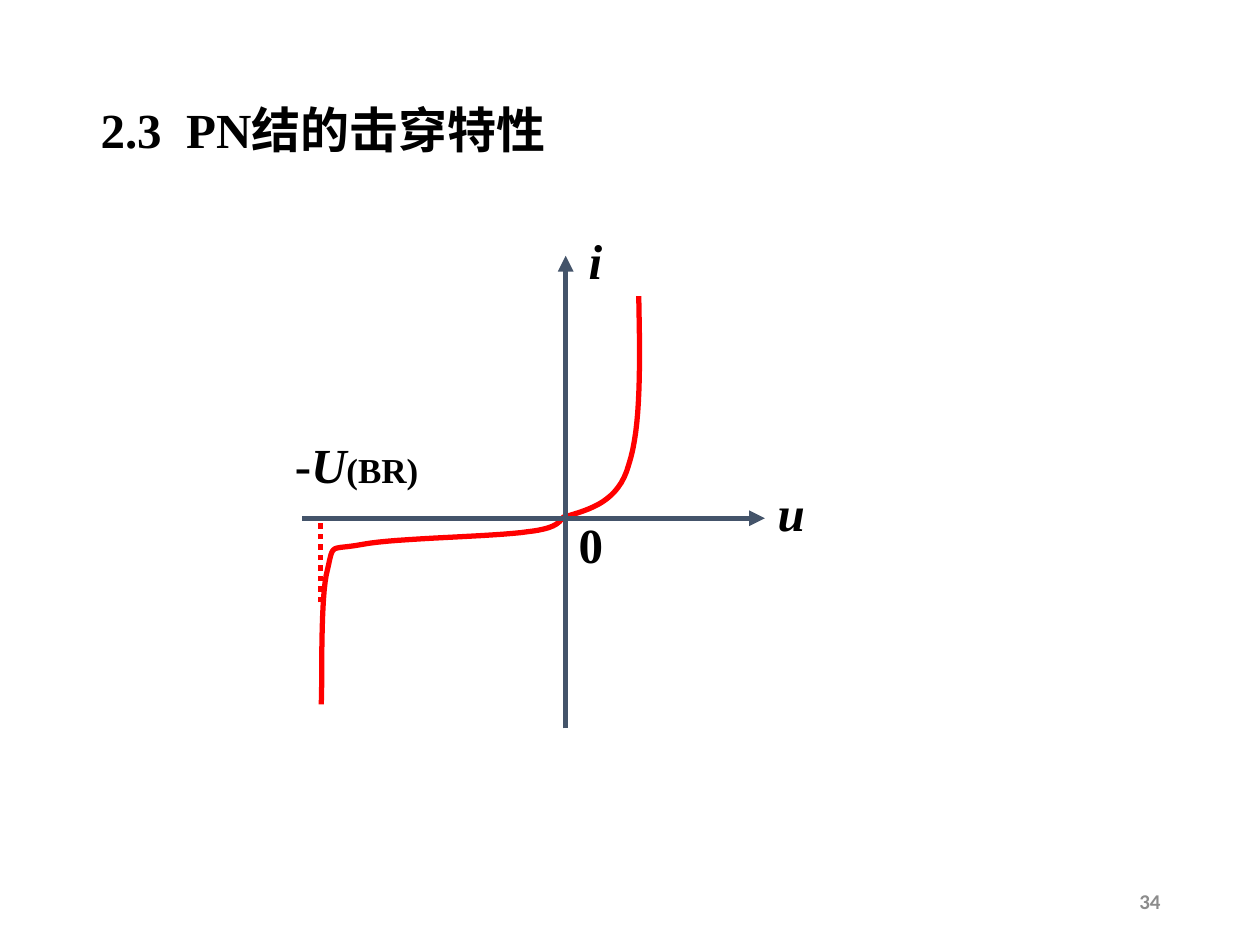
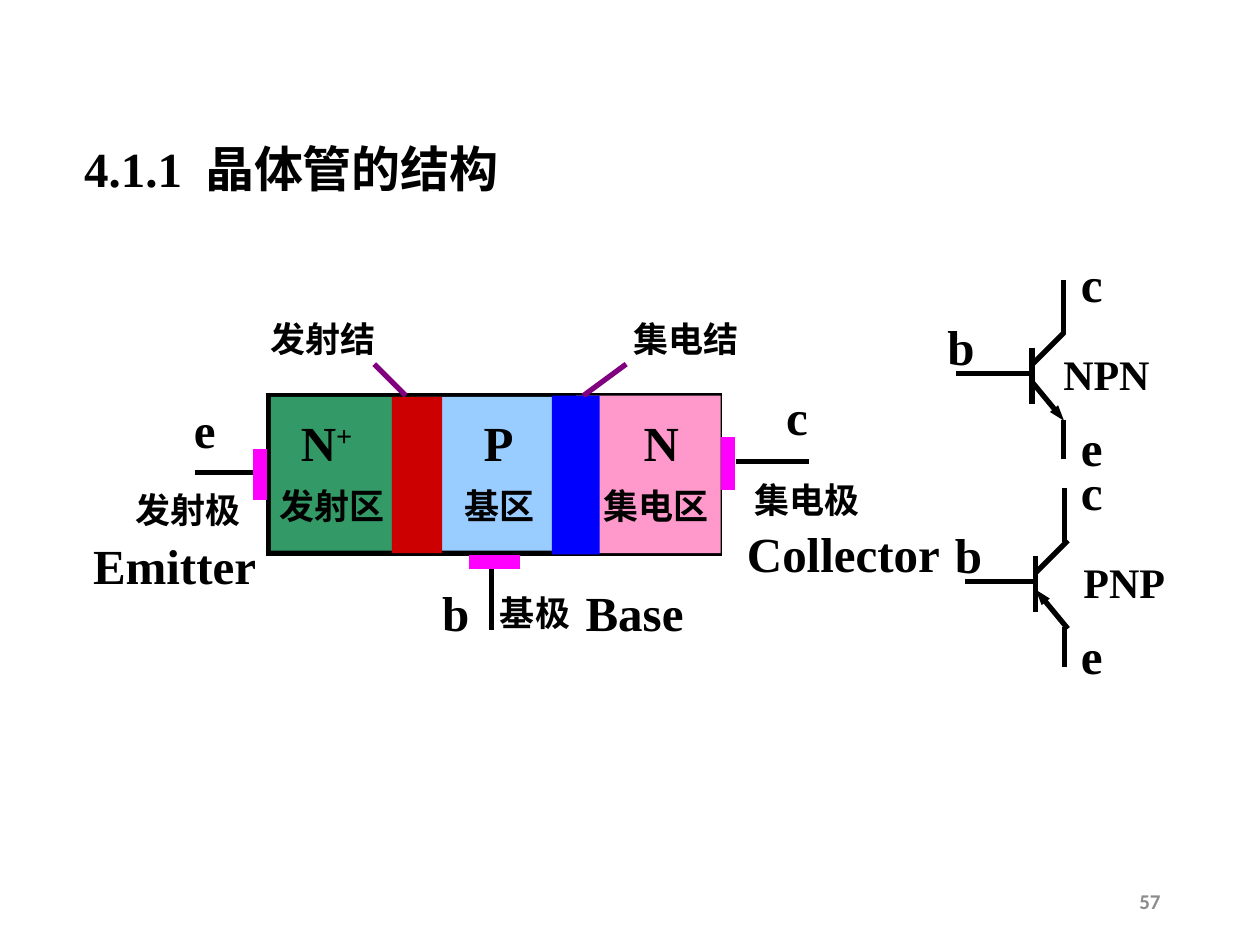
from dataclasses import dataclass
from typing import NamedTuple

from lxml.etree import SubElement
from pptx import Presentation
from pptx.dml.color import RGBColor as Rgb
from pptx.enum.dml import MSO_LINE as Dash
from pptx.enum.shapes import MSO_CONNECTOR as Link, MSO_SHAPE as Form
from pptx.enum.text import MSO_ANCHOR as Anchor, MSO_AUTO_SIZE as Fit, PP_ALIGN as Align
from pptx.oxml.ns import qn
from pptx.util import Emu, Inches, Pt

WIDE, HIGH = Inches(10), Inches(7.5)
COLS, ROWS = 100, 75
FACE = "Times New Roman"
BIG, MID, SMALL = 28, 24, 20
TALL = {BIG: 5.7, MID: 5, SMALL: 4.3}
INK = {
    "black": "000000", "grey": "8C8C8C", "slate": "44546A", "curve": "FF0000",
    "pink": "FF99CC", "sky": "99CCFF", "green": "339966", "blue": "0000FF",
    "red": "CC0000", "lead": "FF00FF", "purple": "800080",
}


class Run(NamedTuple):
    text: str
    size: int = BIG
    slant: bool = False
    raised: bool = False
    face: str = FACE
    ink: str = "black"


@dataclass(frozen=True)
class Label:
    x: float
    y: float
    w: float
    runs: tuple[Run, ...]
    align: Align = Align.LEFT
    wrap: bool = False
    tab: float = 0


class Line(NamedTuple):
    start: tuple[float, float]
    end: tuple[float, float]
    ink: str = "black"
    width: float = 3
    arrow: str = ""
    dotted: bool = False
    barb: str = "med"


class Block(NamedTuple):
    x: float
    y: float
    w: float
    h: float
    fill: str = ""


class Device(NamedTuple):
    name: str
    x: float
    y: float
    name_x: float
    base: float
    base_x: float
    lead: float
    arrow: str


def col(n: float) -> Emu:
    return Emu(round(WIDE * n / COLS))


def row(n: float) -> Emu:
    return Emu(round(HIGH * n / ROWS))


def tint(name: str) -> Rgb:
    return Rgb.from_string(INK[name])


def put_label(slide, label: Label) -> None:
    height = TALL.get(label.runs[0].size, 4)
    box = slide.shapes.add_textbox(col(label.x), row(label.y), col(label.w), row(height))
    frame = box.text_frame
    frame.word_wrap = label.wrap
    frame.vertical_anchor = Anchor.MIDDLE
    frame.auto_size = Fit.NONE if label.wrap else Fit.SHAPE_TO_FIT_TEXT
    para = frame.paragraphs[0]
    para.alignment = label.align
    if label.tab:
        stops = SubElement(para._p.get_or_add_pPr(), qn("a:tabLst"))
        SubElement(stops, qn("a:tab"), pos=str(col(label.tab)), algn="l")
    for part in label.runs:
        run = para.add_run()
        run.text = part.text
        font = run.font
        font.name, font.size = part.face, Pt(part.size)
        font.bold, font.italic = True, part.slant
        font.color.rgb = tint(part.ink)
        if part.raised:
            run._r.get_or_add_rPr().set("baseline", "30000")


def put_line(slide, line: Line) -> None:
    (x1, y1), (x2, y2) = line.start, line.end
    link = slide.shapes.add_connector(Link.STRAIGHT, col(x1), row(y1), col(x2), row(y2))
    link.line.color.rgb = tint(line.ink)
    link.line.width = Pt(line.width)
    if line.dotted:
        link.line.dash_style = Dash.ROUND_DOT
    props = link._element.spPr
    if line.arrow:
        SubElement(props.find(qn("a:ln")), qn(f"a:{line.arrow}"), type="triangle", w=line.barb)
    SubElement(props, qn("a:effectLst"))


def put_block(slide, block: Block) -> None:
    shape = slide.shapes.add_shape(
        Form.RECTANGLE, col(block.x), row(block.y), col(block.w), row(block.h))
    shape.shadow.inherit = False
    if block.fill:
        shape.fill.solid()
        shape.fill.fore_color.rgb = tint(block.fill)
        shape.line.fill.background()
    else:
        shape.fill.background()
        shape.line.color.rgb = tint("black")
        shape.line.width = Pt(3)
        SubElement(shape._element.spPr.find(qn("a:ln")), qn("a:miter"), lim="800000")


def bend(knots: list[tuple[float, float]], steps: int = 16) -> list[tuple[int, int]]:
    dots = [knots[0]]
    for i in range(0, len(knots) - 1, 3):
        quad = knots[i:i + 4]
        for k in range(1, steps + 1):
            t = k / steps
            u = 1 - t
            mix = (u ** 3, 3 * u * u * t, 3 * u * t * t, t ** 3)
            dots.append(tuple(sum(m * p[a] for m, p in zip(mix, quad)) for a in (0, 1)))
    return [(col(x), row(y)) for x, y in dots]


def put_curve(slide, knots: list[tuple[float, float]]) -> None:
    dots = bend(knots)
    pen = slide.shapes.build_freeform(*dots[0])
    pen.add_line_segments(dots[1:], close=False)
    shape = pen.convert_to_shape()
    shape.shadow.inherit = False
    shape.fill.background()
    shape.line.color.rgb = tint("curve")
    shape.line.width = Pt(3)


def put_device(slide, dev: Device) -> None:
    def leg(x1: float, y1: float, x2: float, y2: float, arrow: str = "") -> None:
        ends = (dev.x + x1, dev.y + y1), (dev.x + x2, dev.y + y2)
        put_line(slide, Line(*ends, arrow=arrow, barb="sm"))

    leg(0, 0, 0, 4.5)
    leg(0, 1.35, 2.55, -1.2)
    leg(0, 2.7, 2.55, 5.8, dev.arrow)
    leg(0, 2.05, -dev.base, 2.05)
    leg(dev.lead, -1.1, dev.lead, -5.4)
    leg(dev.lead, 5.7, dev.lead, 8.8)
    for text, x, y, w in (("c", 84.8, -8, 3.7), ("b", dev.base_x, -3, 4.2), ("e", 84.8, 5, 3.7)):
        put_label(slide, Label(x, dev.y + y, w, (Run(text),)))
    put_label(slide, Label(dev.name_x, dev.y - 0.4, 8.9, (Run(dev.name, MID),)))


def add_page(deck, title: Label, number: str):
    slide = deck.slides.add_slide(deck.slide_layouts[6])
    put_label(slide, title)
    page = Run(number, 12, face="Calibri", ink="grey")
    put_label(slide, Label(70.6, 69.5, 22.5, (page,), Align.RIGHT, True))
    return slide


def draw_curve(deck) -> None:
    title = Label(7, 7.4, 76.7, (Run("2.3\tPN结的击穿特性"),), wrap=True, tab=6.8)
    slide = add_page(deck, title, "34")
    put_line(slide, Line((25.45, 47.8), (25.45, 41.1), "curve", dotted=True))
    put_curve(slide, [(50.7, 23.5), (50.8, 28.7), (50.9, 33.9), (49.9, 36.9),
                      (49.1, 39.8), (46.9, 40.4), (44.9, 41)])
    put_curve(slide, [(44.8, 41), (44.4, 41.2), (44.6, 41.9), (41.9, 42.2),
                      (39.2, 42.6), (31.4, 42.7), (28.8, 43.2),
                      (26.1, 43.7), (26.5, 43), (26, 45.2),
                      (25.4, 47.3), (25.6, 54.1), (25.5, 55.9)])
    put_line(slide, Line((24, 41.13), (60.7, 41.13), "slate", arrow="tailEnd"))
    put_line(slide, Line((44.9, 57.8), (44.9, 20.3), "slate", arrow="tailEnd"))
    limit = (Run("-"), Run("U", slant=True), Run("(BR)", SMALL))
    for x, y, w, runs in (
        (45.7, 17.8, 3.1, (Run("i", slant=True),)),
        (60.7, 37.8, 4.2, (Run("u", slant=True),)),
        (44.9, 40.3, 4, (Run("0"),)),
        (22.4, 34, 11.8, limit),
    ):
        put_label(slide, Label(x, y, w, runs, Align.CENTER))


BLOCKS = (
    Block(21.3, 31.4, 35.8, 12.5),
    Block(45.7, 31.4, 11.5, 12.5, "pink"),
    Block(33, 31.5, 12.6, 12.2, "sky"),
    Block(21.5, 31.5, 11.5, 12.2, "green"),
    Block(43.8, 31.4, 3.8, 12.6, "blue"),
    Block(31.1, 31.5, 4, 12.4, "red"),
)
LEADS = (
    Line((20.5, 37.5), (15.5, 37.5)),
    Line((20.6, 35.6), (20.6, 39.7), "lead", 8),
    Line((58.4, 36.6), (64.2, 36.6)),
    Line((57.8, 34.7), (57.8, 38.9), "lead", 8),
    Line((39, 45), (39, 50)),
    Line((41.3, 44.6), (37.2, 44.6), "lead", 8),
    Line((32.2, 31.4), (29.7, 28.9), "purple"),
    Line((46.3, 31.4), (49.7, 28.9), "purple"),
)
WORDS = (
    ("e", BIG, 14.4, 31.2, 3.7), ("c", BIG, 61.4, 30.2, 3.7), ("b", BIG, 34.1, 45.7, 4.2),
    ("P", BIG, 37.4, 32.2, 4.4), ("N", BIG, 50.1, 32.2, 4.8),
    ("发射极", SMALL, 9.8, 38.3, 10.4), ("基极", SMALL, 38.7, 46.5, 7.6),
    ("集电极", SMALL, 58.9, 37.5, 10.4), ("发射结", SMALL, 20.5, 24.7, 10.4),
    ("集电结", SMALL, 49.3, 24.7, 10.4), ("发射区", SMALL, 21.2, 38, 10.4),
    ("基区", SMALL, 35.9, 38, 7.6), ("集电区", SMALL, 46.9, 38, 10.4),
)
NAMES = (("Base", 45.5, 45.7, 11.4), ("Collector", 58.3, 41, 18), ("Emitter", 6.4, 42, 18))
PARTS = (
    Device("NPN", 81.9, 27.6, 83.4, 6, 74.2, 2.5, "tailEnd"),
    Device("PNP", 82.2, 44.1, 85, 5.6, 74.8, 2.3, "headEnd"),
)


def draw_parts(deck) -> None:
    title = Label(5.7, 10.5, 50.4, (Run("4.1.1\t晶体管的结构"),), wrap=True, tab=9.6)
    slide = add_page(deck, title, "57")
    for block in BLOCKS:
        put_block(slide, block)
    for line in LEADS:
        put_line(slide, line)
    for text, size, x, y, w in WORDS:
        put_label(slide, Label(x, y, w, (Run(text, size),)))
    for text, x, y, w in NAMES:
        put_label(slide, Label(x, y, w, (Run(text),), wrap=True))
    put_label(slide, Label(22.9, 32.2, 6.3, (Run("N"), Run("+", raised=True))))
    for dev in PARTS:
        put_device(slide, dev)


def main() -> None:
    deck = Presentation()
    deck.slide_width, deck.slide_height = WIDE, HIGH
    draw_curve(deck)
    draw_parts(deck)
    deck.save("out.pptx")


if __name__ == "__main__":
    main()
